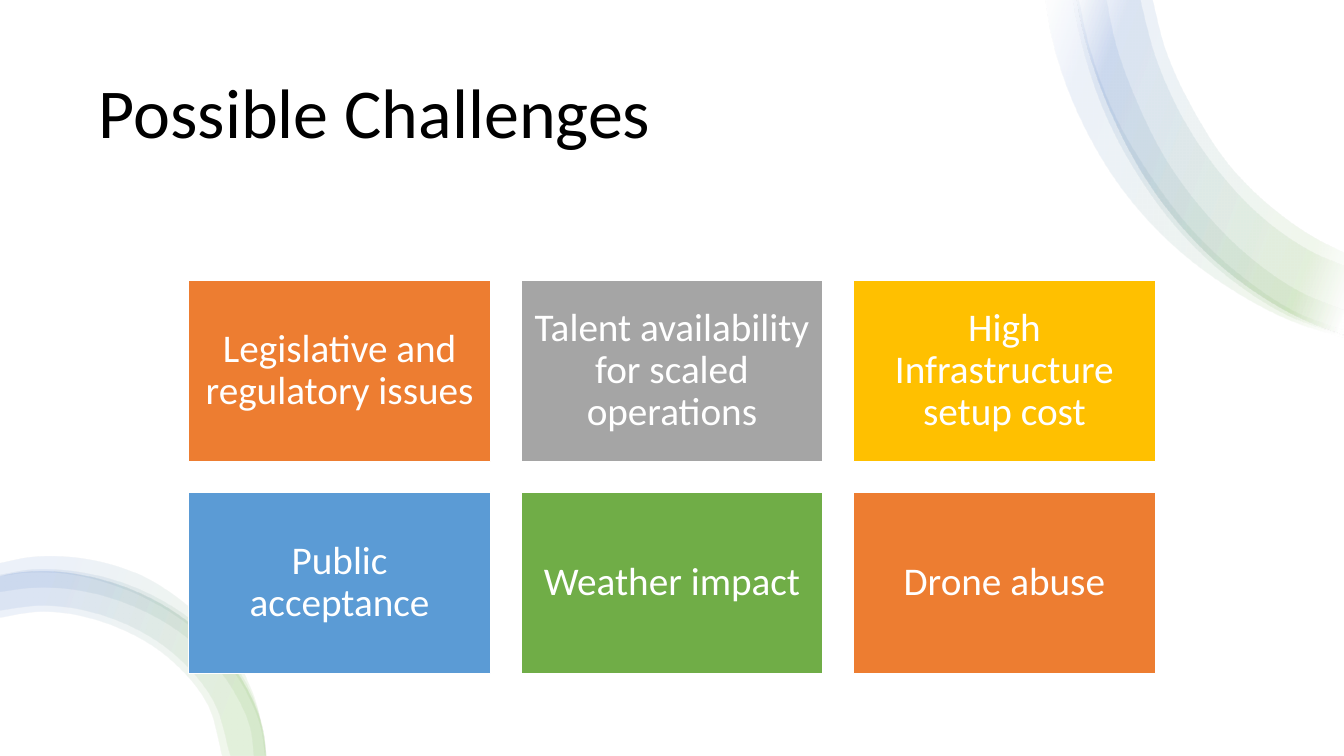
from dataclasses import dataclass
from math import dist

from lxml import etree
from pptx import Presentation
from pptx.dml.color import RGBColor
from pptx.enum.shapes import MSO_SHAPE
from pptx.enum.text import MSO_ANCHOR, PP_ALIGN
from pptx.oxml.ns import qn
from pptx.util import Inches, Pt

RECT = MSO_SHAPE.RECTANGLE
MIDDLE = MSO_ANCHOR.MIDDLE
LEFT, CENTER = PP_ALIGN.LEFT, PP_ALIGN.CENTER


@dataclass(frozen=True)
class Theme:
    font: str = "Calibri"
    title_size: int = 50
    card_size: int = 28
    black: str = "000000"
    white: str = "FFFFFF"
    orange: str = "ED7D31"
    gray: str = "A5A5A5"
    gold: str = "FFC000"
    sky: str = "5B9BD5"
    green: str = "70AD47"
    blue: str = "4472C4"


THEME = Theme()
BAND_ALPHA = 10
BAND_ANGLE = 160
STOP_POSITIONS = (2, 16, 85, 100)
TOP_COLORS = (THEME.white, THEME.green, THEME.blue, THEME.white)
BOTTOM_COLORS = (THEME.green, THEME.green, THEME.blue, THEME.blue)

CARDS = [
    ("Legislative and regulatory issues", THEME.orange),
    ("Talent availability for scaled operations", THEME.gray),
    ("High Infrastructure setup cost", THEME.gold),
    ("Public acceptance", THEME.sky),
    ("Weather impact", THEME.green),
    ("Drone abuse", THEME.orange),
]

TOP_RIM = [(3, 3.32), (2.76, 3.24), (1.9, 2.74), (1.19, 2), (0.67, 1.07), (0.36, 0.04), (0.34, -0.09)]
TOP_BANDS = [
    ([(3, 3.35), (2.49, 3.19), (1.88, 2.87), (1.32, 2.45), (0.83, 1.92), (0.45, 1.31),
      (0.08, 0.26), (0.03, -0.09)],
     [(0.35, -0.09), (0.49, 0.52), (0.73, 1.15), (1.07, 1.73), (1.48, 2.27), (1.97, 2.73),
      (2.53, 3.1), (3, 3.28)]),
    (TOP_RIM,
     [(1.08, -0.09), (1.25, 0.55), (1.52, 1.12), (1.86, 1.64), (2.28, 2.06), (2.74, 2.38), (3, 2.51)]),
    ([(3, 3.33), (2.46, 3.14), (1.9, 2.79), (1.4, 2.33), (0.99, 1.79), (0.66, 1.19),
      (0.35, 0.2), (0.3, -0.09)],
     [(0.63, -0.09), (0.74, 0.44), (0.96, 1.04), (1.25, 1.61), (1.62, 2.11), (2.06, 2.55),
      (2.57, 2.9), (3, 3.08)]),
    (TOP_RIM,
     [(0.96, -0.09), (1.14, 0.59), (1.41, 1.19), (1.77, 1.72), (2.2, 2.17), (2.68, 2.5), (3, 2.64)]),
]

BOTTOM_RIM = [(2.63, 2), (2.62, 1.85), (2.36, 1.19), (1.85, 0.66), (1.17, 0.3), (0.4, 0.17),
              (0.04, 0.21), (0, 0.22)]
BOTTOM_BANDS = [
    (BOTTOM_RIM, [(0, 0.63), (0.4, 0.57), (1.07, 0.69), (1.66, 1.02), (2.06, 1.5), (2.2, 2)]),
    (BOTTOM_RIM, [(0, 0.56), (0.4, 0.51), (1.09, 0.63), (1.7, 0.97), (2.12, 1.47), (2.28, 2)]),
    ([(2.63, 2), (2.59, 1.69), (2.47, 1.35), (2.03, 0.77), (1.42, 0.37), (0.69, 0.17),
      (0.31, 0.16), (0, 0.21)],
     [(0, 0.38), (0.33, 0.34), (0.67, 0.35), (1.34, 0.53), (1.92, 0.89), (2.34, 1.41),
      (2.47, 1.71), (2.51, 2)]),
    ([(2.64, 2), (2.5, 1.37), (2.33, 1.03), (2.1, 0.73), (1.81, 0.47), (1.48, 0.25),
      (0.71, 0.03), (0.31, 0.03), (0, 0.09)],
     [(0, 0.22), (0.32, 0.18), (0.69, 0.2), (1.22, 0.34), (1.71, 0.59), (2, 0.81),
      (2.25, 1.08), (2.45, 1.39), (2.58, 1.72), (2.62, 2)]),
]


def set_attrs(obj, values):
    for name, value in values.items():
        setattr(obj, name, value)


def write_text(sp, text, size, color, align, inset_x, inset_y):
    tf = sp.text_frame
    set_attrs(tf, {
        "word_wrap": True, "vertical_anchor": MIDDLE,
        "margin_left": Inches(inset_x), "margin_right": Inches(inset_x),
        "margin_top": Inches(inset_y), "margin_bottom": Inches(inset_y),
    })
    p = tf.paragraphs[0]
    set_attrs(p, {"alignment": align, "line_spacing": 0.9})
    r = p.add_run()
    r.text = text
    set_attrs(r.font, {"name": THEME.font, "size": Pt(size)})
    r.font.color.rgb = RGBColor.from_string(color)


def add_rect(slide, box, color):
    sp = slide.shapes.add_shape(RECT, *map(Inches, box))
    sp.shadow.inherit = False
    sp.fill.solid()
    sp.fill.fore_color.rgb = RGBColor.from_string(color)
    return sp


def tangents(knots):
    gaps = [dist(a, b) for a, b in zip(knots, knots[1:])]
    slopes = [[(q - p) / gap for p, q in zip(a, b)]
              for a, b, gap in zip(knots, knots[1:], gaps)]
    inner = [[(p * h + q * g) / (g + h) for p, q in zip(u, v)]
             for u, v, g, h in zip(slopes, slopes[1:], gaps, gaps[1:])]
    return [slopes[0], *inner, slopes[-1]]


def curve_edges(sp, edges):
    path = next(sp._element.iter(qn("a:path")))
    segments = list(path)[:-1]
    points = [(int(pt.get("x")), int(pt.get("y"))) for pt in path.iter(qn("a:pt"))]
    start = 0
    for edge in edges:
        knots = points[start:start + len(edge)]
        slopes = tangents(knots)
        for i, (a, b) in enumerate(zip(knots, knots[1:])):
            reach = dist(a, b) / 3
            controls = [[p + m * reach for p, m in zip(a, slopes[i])],
                        [p - m * reach for p, m in zip(b, slopes[i + 1])], b]
            curve = etree.Element(qn("a:cubicBezTo"))
            for x, y in controls:
                etree.SubElement(curve, qn("a:pt"), x=str(round(x)), y=str(round(y)))
            path.replace(segments[start + i + 1], curve)
        start += len(edge)


def fill_band(sp, colors):
    sp.fill.gradient()
    sp.fill.gradient_angle = BAND_ANGLE
    stops = next(sp._element.iter(qn("a:gsLst")))
    for stop in list(stops):
        stops.remove(stop)
    for position, color in zip(STOP_POSITIONS, colors):
        gs = etree.SubElement(stops, qn("a:gs"), pos=str(position * 1000))
        clr = etree.SubElement(gs, qn("a:srgbClr"), val=color)
        etree.SubElement(clr, qn("a:alpha"), val=str(BAND_ALPHA * 1000))


def add_swoosh(slide, left, top, bands, colors):
    group = slide.shapes.add_group_shape()
    for edges in bands:
        outline = [(Inches(left + x), Inches(top + y)) for edge in edges for x, y in edge]
        builder = group.shapes.build_freeform(*outline[0])
        builder.add_line_segments(outline[1:], close=True)
        sp = builder.convert_to_shape()
        curve_edges(sp, edges)
        sp.shadow.inherit = False
        sp.line.fill.background()
        fill_band(sp, colors)


def add_title(slide, left, top, width, height):
    sp = slide.shapes.add_textbox(*map(Inches, (left, top, width, height)))
    write_text(sp, "Possible Challenges", THEME.title_size, THEME.black, LEFT, 0.1, 0.05)


def add_cards(slide, left, top, width, height, columns=3, rows=2, gap=0.3):
    card_w = (width - gap * (columns - 1)) / columns
    card_h = (height - gap * (rows - 1)) / rows
    for i, (text, color) in enumerate(CARDS):
        row, column = divmod(i, columns)
        x, y = left + column * (card_w + gap), top + row * (card_h + gap)
        sp = add_rect(slide, (x, y, card_w, card_h), color)
        sp.line.color.rgb = RGBColor.from_string(THEME.white)
        sp.line.width = Pt(1)
        write_text(sp, text, THEME.card_size, THEME.white, CENTER, 0.12, 0.12)


def build_challenges_slide(prs):
    slide = prs.slides.add_slide(prs.slide_layouts[6])
    backdrop = add_rect(slide, (0, 0, 13.33, 7.5), THEME.white)
    backdrop.line.fill.background()
    add_title(slide, 0.88, 0.5, 11.57, 1.3)
    add_swoosh(slide, 10.33, 0, TOP_BANDS, TOP_COLORS)
    add_swoosh(slide, 0, 5.5, BOTTOM_BANDS, BOTTOM_COLORS)
    add_cards(slide, 1.87, 2.78, 9.59, 3.9)


def main():
    prs = Presentation()
    set_attrs(prs, {"slide_width": Inches(13.33), "slide_height": Inches(7.5)})
    build_challenges_slide(prs)
    prs.save("out.pptx")


if __name__ == "__main__":
    main()
